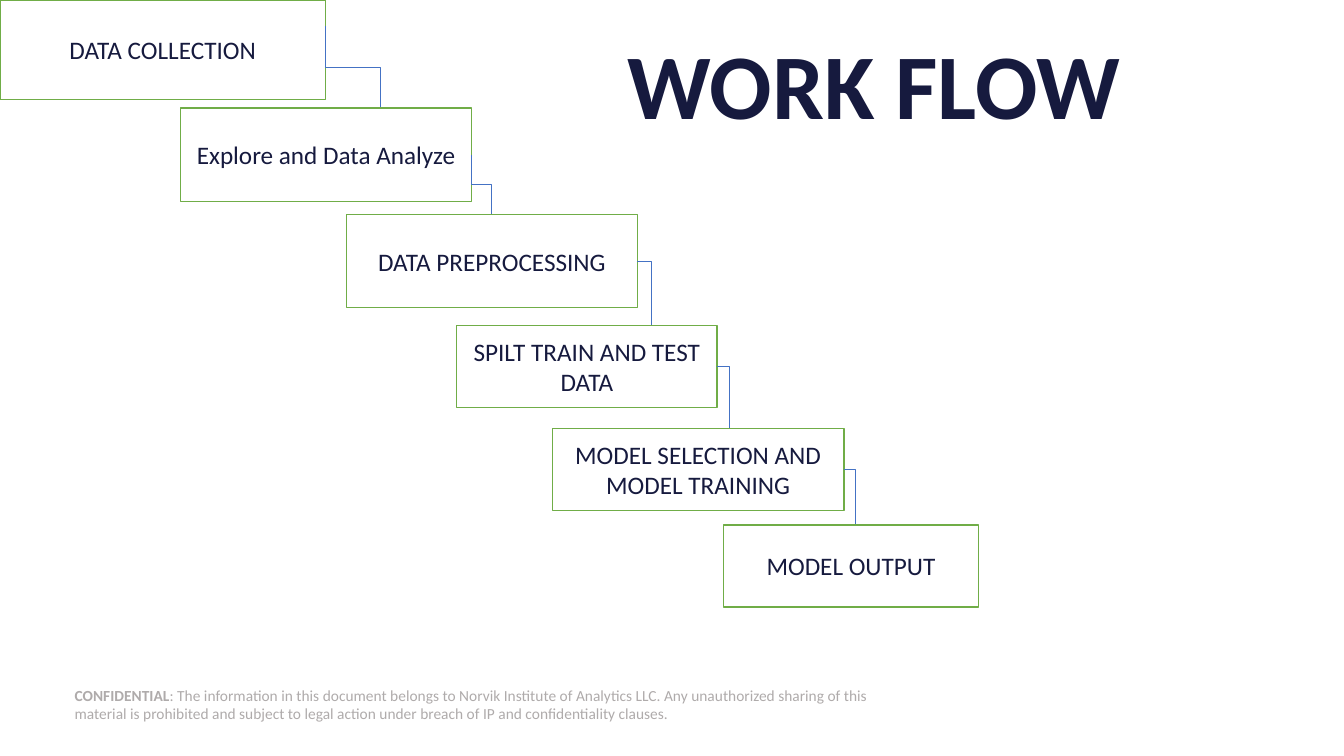
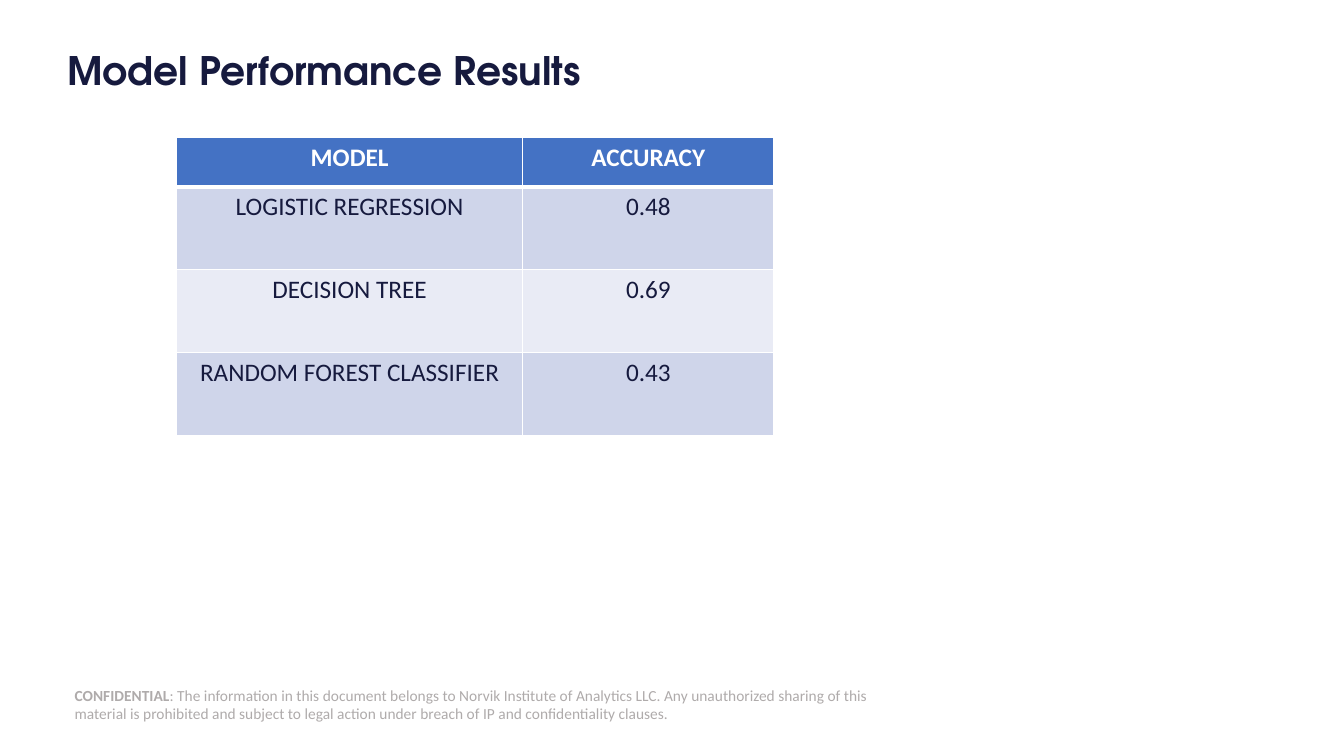
from dataclasses import dataclass
from typing import Optional

from lxml.etree import SubElement
from pptx import Presentation
from pptx.dml.color import RGBColor
from pptx.enum.shapes import MSO_CONNECTOR as Connector, MSO_SHAPE as Preset
from pptx.enum.text import MSO_ANCHOR as Anchor, MSO_AUTO_SIZE as AutoSize, PP_ALIGN as Align
from pptx.oxml.ns import qn
from pptx.util import Emu, Pt

EMU_PER_PX = 9525
BODY_FONT = "Calibri"
HEADING_FONT = "TeX Gyre Adventor"
COLORS = {
    "ink": "161A3E",
    "white": "FFFFFF",
    "green": "70AD47",
    "blue": "4472C4",
    "gray": "AFABAB",
    "band_dark": "CFD5EA",
    "band_light": "E9EBF5",
}


@dataclass(frozen=True)
class Box:
    left: int
    top: int
    width: int
    height: int


@dataclass(frozen=True)
class Run:
    text: str
    size: int
    color: str = "ink"
    bold: bool = False
    font: str = BODY_FONT


@dataclass(frozen=True)
class Link:
    start_y: int
    end_x: int
    drops_first: bool = False


@dataclass(frozen=True)
class Step:
    label: str
    box: Box
    link: Optional[Link] = None


FOOTER_BOX = Box(71, 652, 784, 38)
FOOTER_RUNS = [
    Run("CONFIDENTIAL", 11, "gray", True),
    Run(
        ": The information in this document belongs to Norvik Institute of Analytics LLC. "
        "Any unauthorized sharing of this material is prohibited and subject to legal action "
        "under breach of IP and confidentiality clauses.",
        11,
        "gray",
    ),
]
STEPS = [
    Step("DATA COLLECTION", Box(0, 0, 310, 95), Link(25, 362, True)),
    Step("Explore and Data Analyze", Box(172, 103, 277, 89), Link(148, 468, True)),
    Step("DATA PREPROCESSING", Box(330, 204, 277, 89), Link(249, 620)),
    Step("SPILT TRAIN AND TEST DATA", Box(435, 310, 248, 78), Link(349, 695)),
    Step("MODEL SELECTION AND MODEL TRAINING", Box(526, 408, 278, 78), Link(447, 815)),
    Step("MODEL OUTPUT", Box(689, 500, 243, 78)),
]
RESULTS = [
    ("MODEL", "ACCURACY"),
    ("LOGISTIC REGRESSION", "0.48"),
    ("DECISION TREE", "0.69"),
    ("RANDOM FOREST CLASSIFIER", "0.43"),
]
COLUMN_WIDTHS = [330, 239]
HEADER_HEIGHT = 47
ROW_HEIGHT = 79


def px(length: float) -> Emu:
    return Emu(round(length * EMU_PER_PX))


def rgb(name: str) -> RGBColor:
    return RGBColor.from_string(COLORS[name])


def place(box: Box) -> tuple:
    return px(box.left), px(box.top), px(box.width), px(box.height)


def add_runs(paragraph, runs: list[Run]) -> None:
    for item in runs:
        run = paragraph.add_run()
        run.text = item.text
        run.font.name = item.font
        run.font.size = Pt(item.size)
        run.font.bold = item.bold
        run.font.color.rgb = rgb(item.color)


def add_rectangle(slide, box: Box, runs: list[Run], align: Align, outline: Optional[str] = None):
    shape = slide.shapes.add_shape(Preset.RECTANGLE, *place(box))
    shape.shadow.inherit = False
    shape.fill.solid()
    shape.fill.fore_color.rgb = rgb("white")
    if outline:
        shape.line.color.rgb = rgb(outline)
        shape.line.width = Pt(1)
    else:
        shape.line.fill.background()
    frame = shape.text_frame
    frame.word_wrap = True
    frame.vertical_anchor = Anchor.MIDDLE
    paragraph = frame.paragraphs[0]
    paragraph.alignment = align
    add_runs(paragraph, runs)
    return shape


def add_footer(slide) -> None:
    frame = add_rectangle(slide, FOOTER_BOX, FOOTER_RUNS, Align.LEFT).text_frame
    frame.margin_left = frame.margin_top = frame.margin_right = frame.margin_bottom = 0


def add_title(slide, box: Box, run: Run, line_points: Optional[int] = None) -> None:
    frame = slide.shapes.add_textbox(*place(box)).text_frame
    frame.word_wrap = True
    frame.auto_size = AutoSize.SHAPE_TO_FIT_TEXT
    paragraph = frame.paragraphs[0]
    if line_points:
        paragraph.line_spacing = Pt(line_points)
    add_runs(paragraph, [run])


def add_link(slide, source: Box, target: Box, link: Link) -> None:
    start_x = source.left + source.width
    across, down = link.end_x - start_x, target.top - link.start_y
    connector = slide.shapes.add_connector(
        Connector.ELBOW, px(start_x), px(link.start_y), px(link.end_x), px(target.top)
    )
    connector.line.color.rgb = rgb("blue")
    connector.line.width = Pt(0.5)
    properties = connector._element.spPr
    SubElement(properties, qn("a:effectLst"))
    if link.drops_first:
        connector.left = px(start_x + (across - down) / 2)
        connector.top = px(link.start_y + (down - across) / 2)
        connector.width, connector.height = px(down), px(across)
        transform = properties.find(qn("a:xfrm"))
        transform.set("rot", "16200000")
        transform.set("flipH", "1")
    else:
        properties.find(qn("a:prstGeom")).set("prst", "bentConnector2")


def set_borders(cell, top: int, bottom: int) -> None:
    properties = cell._tc.get_or_add_tcPr()
    for side, points in (("lnL", 1), ("lnR", 1), ("lnT", top), ("lnB", bottom)):
        line = SubElement(properties, qn(f"a:{side}"), w=str(Pt(points)))
        fill = SubElement(line, qn("a:solidFill"))
        SubElement(fill, qn("a:srgbClr"), val=COLORS["white"])


def add_results_table(slide, left: int, top: int) -> None:
    heights = [HEADER_HEIGHT] + [ROW_HEIGHT] * (len(RESULTS) - 1)
    box = Box(left, top, sum(COLUMN_WIDTHS), sum(heights))
    table = slide.shapes.add_table(len(RESULTS), len(COLUMN_WIDTHS), *place(box)).table
    table.first_row = table.horz_banding = False
    for column, width in zip(table.columns, COLUMN_WIDTHS):
        column.width = px(width)
    for index, (row, height, values) in enumerate(zip(table.rows, heights, RESULTS)):
        row.height = px(height)
        is_header = index == 0
        band = "blue" if is_header else "band_dark" if index % 2 else "band_light"
        for cell, value in zip(row.cells, values):
            set_borders(cell, top=3 if index == 1 else 1, bottom=3 if is_header else 1)
            cell.fill.solid()
            cell.fill.fore_color.rgb = rgb(band)
            paragraph = cell.text_frame.paragraphs[0]
            paragraph.alignment = Align.CENTER
            add_runs(paragraph, [Run(value, 18, "white" if is_header else "ink", is_header)])


def add_slide(presentation):
    slide = presentation.slides.add_slide(presentation.slide_layouts[6])
    add_footer(slide)
    return slide


def build_workflow(presentation) -> None:
    slide = add_slide(presentation)
    for index, step in enumerate(STEPS):
        add_rectangle(slide, step.box, [Run(step.label, 18)], Align.CENTER, "green")
        if step.link:
            add_link(slide, step.box, STEPS[index + 1].box, step.link)
    add_title(slide, Box(588, 21, 662, 116), Run("WORK FLOW", 66, bold=True))


def build_results(presentation) -> None:
    slide = add_slide(presentation)
    heading = Run("Model Performance Results", 28, bold=True, font=HEADING_FONT)
    add_title(slide, Box(55, 26, 639, 65), heading, line_points=44)
    add_results_table(slide, 168, 131)


def main() -> None:
    presentation = Presentation()
    presentation.slide_width = px(1280)
    presentation.slide_height = px(720)
    build_workflow(presentation)
    build_results(presentation)
    presentation.save("out.pptx")


if __name__ == "__main__":
    main()
